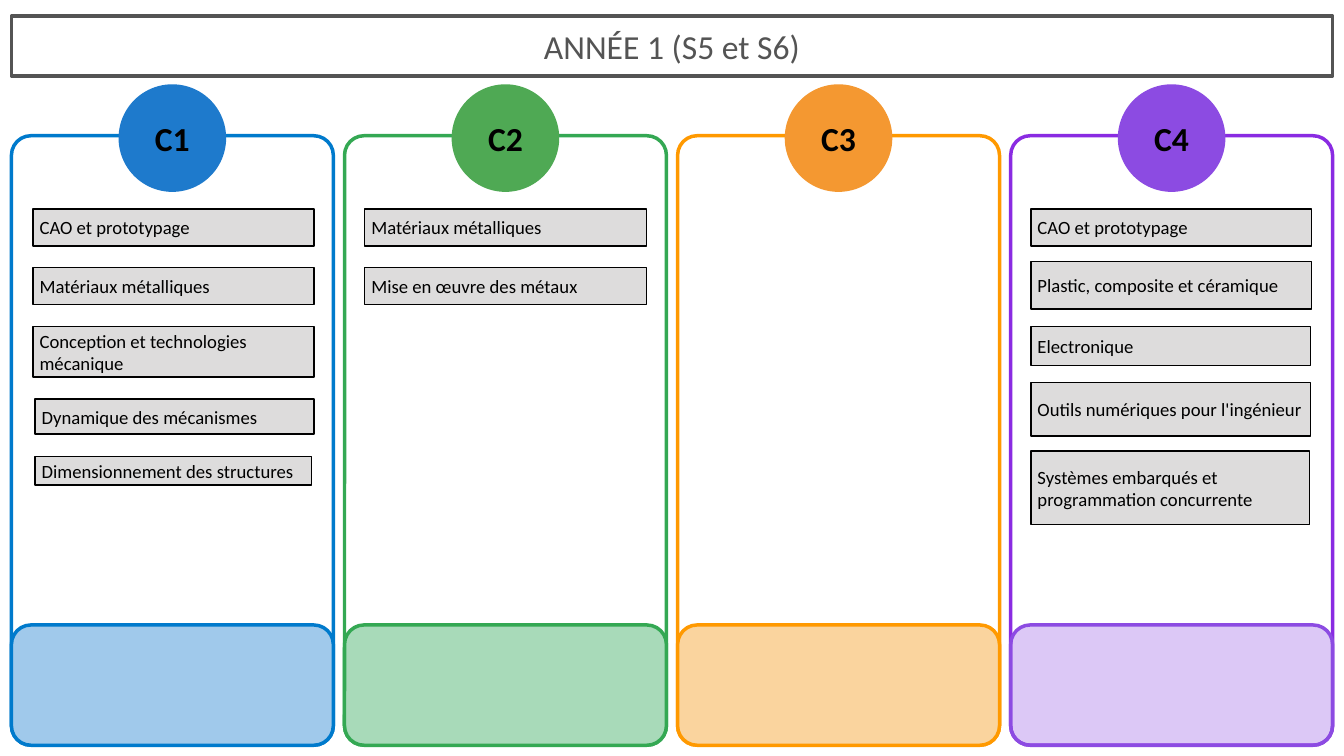
from lxml.etree import SubElement
from pptx import Presentation
from pptx.dml.color import RGBColor
from pptx.enum.shapes import MSO_SHAPE
from pptx.enum.text import MSO_ANCHOR, MSO_AUTO_SIZE, PP_ALIGN
from pptx.oxml.ns import qn
from pptx.util import Inches, Pt

PAGE_WIDTH, PAGE_HEIGHT = 20, 11.25
MARGIN = 0.17
COLUMN_TOP, COLUMN_WIDTH, COLUMN_HEIGHT = 2.02, 4.79, 9.07
FOOTER_HEIGHT = 1.79
CIRCLE_TOP, CIRCLE_SIZE = 1.27, 1.57
CORNER_RADIUS = 0.29

# Column: label, frame colour, circle colour, footer colour, footer line, footer opacity, cards
# Card: text, offset from the column's left, top, width, height
COLUMNS = [
    ("C1", "007ACC", "1E7ACC", "A0C9EB", "007ACC", 100, [
        ("CAO et prototypage", 0.32, 3.11, 4.18, 0.55),
        ("Matériaux métalliques", 0.32, 3.98, 4.18, 0.55),
        ("Conception et technologies mécanique", 0.32, 4.86, 4.18, 0.75),
        ("Dynamique des mécanismes", 0.35, 5.94, 4.15, 0.52),
        ("Dimensionnement des structures", 0.35, 6.79, 4.12, 0.43),
    ]),
    ("C2", "34A853", "4FA954", "A8DAB9", "34A853", 100, [
        ("Matériaux métalliques", 0.3, 3.11, 4.19, 0.55),
        ("Mise en œuvre des métaux", 0.3, 3.98, 4.19, 0.55),
    ]),
    ("C3", "FF9900", "F49831", "FAD49E", "FF9900", 100, []),
    ("C4", "8A2BE2", "8C4BE2", "8C4BE2", "8C4BE2", 30, [
        ("CAO et prototypage", 0.3, 3.11, 4.18, 0.55),
        ("Plastic, composite et céramique", 0.3, 3.89, 4.18, 0.71),
        ("Electronique", 0.3, 4.86, 4.16, 0.58),
        ("Outils numériques pour l'ingénieur", 0.3, 5.69, 4.16, 0.8),
        ("Systèmes embarqués et programmation concurrente", 0.3, 6.71, 4.15, 1.1),
    ]),
]


def color(hex_string):
    return RGBColor.from_string(hex_string)


def add_box(page, kind, left, top, width, height, fill, line, line_width):
    box = page.shapes.add_shape(kind, Inches(left), Inches(top), Inches(width), Inches(height))
    box.shadow.inherit = False
    if fill:
        box.fill.solid()
        box.fill.fore_color.rgb = color(fill)
    else:
        box.fill.background()
    box.line.color.rgb = color(line)
    box.line.width = Pt(line_width)
    if kind == MSO_SHAPE.ROUNDED_RECTANGLE:
        box.adjustments[0] = CORNER_RADIUS / min(width, height)
    return box


def write_text(box, text, size, text_color, align, bold=False):
    frame = box.text_frame
    frame.word_wrap = True
    frame.vertical_anchor = MSO_ANCHOR.MIDDLE
    para = frame.paragraphs[0]
    para.text = text
    para.alignment = align
    para.font.name = "Calibri"
    para.font.size = Pt(size)
    para.font.bold = bold
    para.font.color.rgb = color(text_color)


def set_opacity(box, percent):
    fill_color = box.fill._xPr.find(qn("a:solidFill"))[0]
    SubElement(fill_color, qn("a:alpha")).set("val", str(percent * 1000))


def place_title(page, left, top, width, height):
    title = page.shapes.title
    title.left, title.top = Inches(left), Inches(top)
    title.width, title.height = Inches(width), Inches(height)
    title.line.color.rgb = color("545454")
    title.line.width = Pt(3.75)
    title.text_frame.auto_size = MSO_AUTO_SIZE.NONE
    write_text(title, "ANNÉE 1 (S5 et S6)", 36, "545454", PP_ALIGN.CENTER)


def add_column(page, left, column):
    label, frame_color, circle_color, footer_color, footer_line, opacity, cards = column
    rounded = MSO_SHAPE.ROUNDED_RECTANGLE
    add_box(page, rounded, left, COLUMN_TOP, COLUMN_WIDTH, COLUMN_HEIGHT, None, frame_color, 3.75)

    circle_left = left + (COLUMN_WIDTH - CIRCLE_SIZE) / 2
    circle = add_box(page, MSO_SHAPE.OVAL, circle_left, CIRCLE_TOP, CIRCLE_SIZE, CIRCLE_SIZE,
                     circle_color, circle_color, 2.25)
    frame = circle.text_frame
    frame.margin_left = frame.margin_right = frame.margin_top = frame.margin_bottom = 0
    write_text(circle, label, 36, "000000", PP_ALIGN.CENTER, bold=True)

    footer_top = COLUMN_TOP + COLUMN_HEIGHT - FOOTER_HEIGHT
    footer = add_box(page, rounded, left, footer_top, COLUMN_WIDTH, FOOTER_HEIGHT,
                     footer_color, footer_line, 3.75)
    if opacity < 100:
        set_opacity(footer, opacity)

    for text, offset, top, width, height in cards:
        card = add_box(page, MSO_SHAPE.RECTANGLE, left + offset, top, width, height,
                       "DDDCDC", "000000", 1.5)
        write_text(card, text, 20, "000000", PP_ALIGN.LEFT)


def main():
    deck = Presentation()
    deck.slide_width, deck.slide_height = Inches(PAGE_WIDTH), Inches(PAGE_HEIGHT)
    page = deck.slides.add_slide(deck.slide_layouts[5])
    place_title(page, MARGIN, 0.24, PAGE_WIDTH - 2 * MARGIN, 0.89)
    pitch = (PAGE_WIDTH - 2 * MARGIN - COLUMN_WIDTH) / (len(COLUMNS) - 1)
    for index, column in enumerate(COLUMNS):
        add_column(page, MARGIN + index * pitch, column)
    deck.save("out.pptx")


if __name__ == "__main__":
    main()
